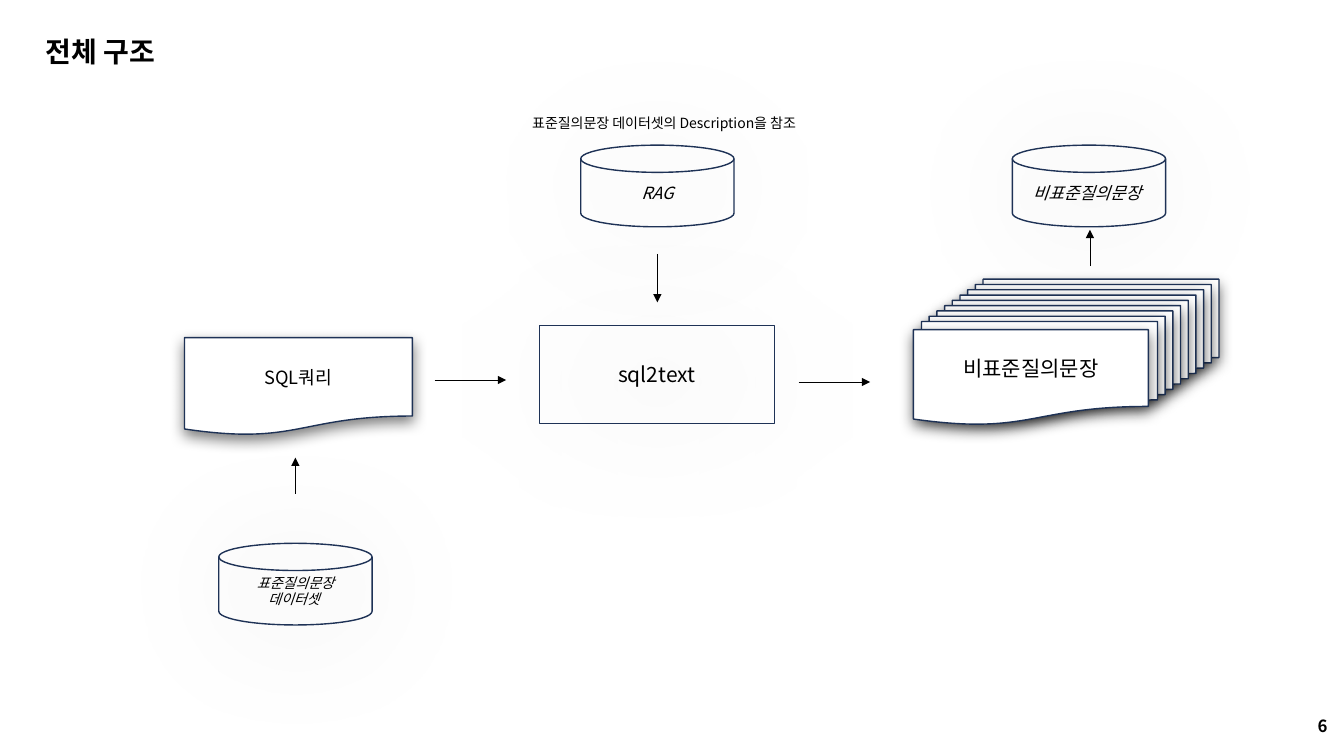
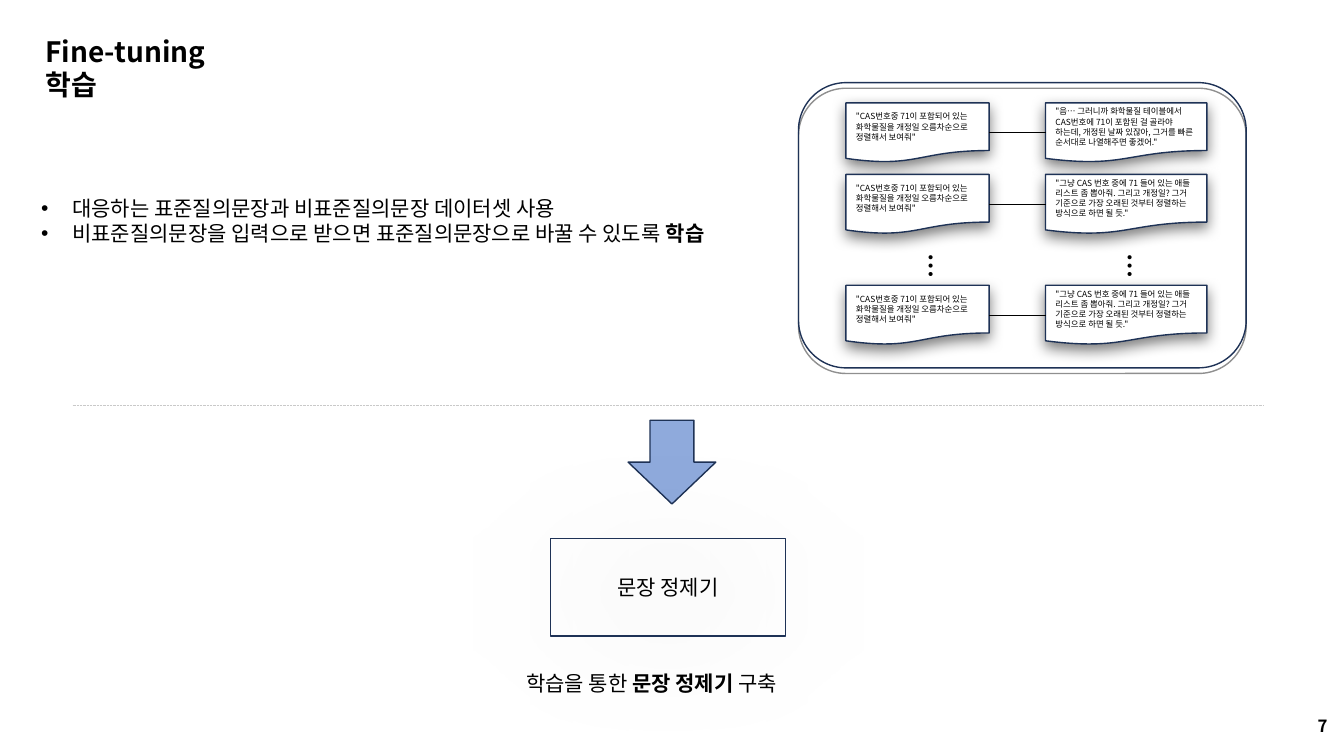
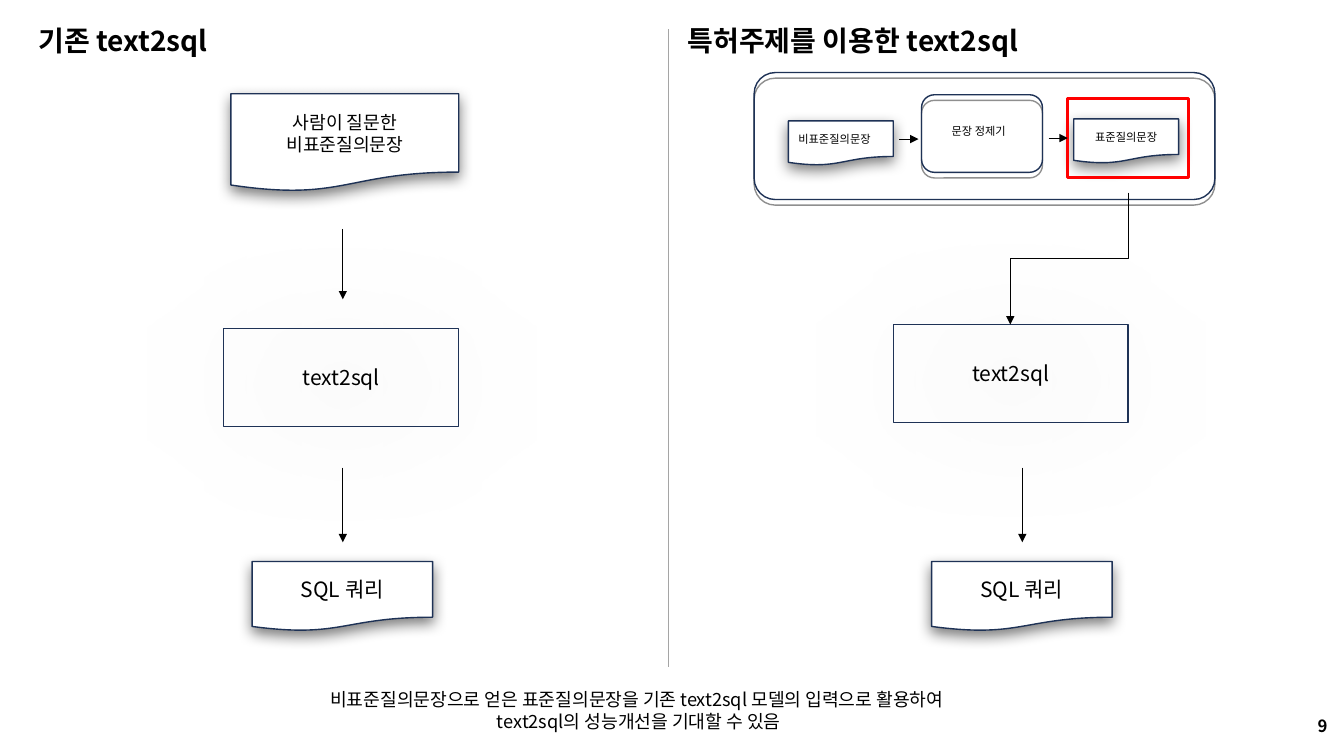
from dataclasses import dataclass
from typing import NamedTuple, Optional

from lxml.etree import SubElement
from pptx import Presentation
from pptx.dml.color import RGBColor
from pptx.enum.dml import MSO_LINE
from pptx.enum.shapes import MSO_CONNECTOR, MSO_SHAPE
from pptx.enum.text import MSO_ANCHOR, MSO_AUTO_SIZE, PP_ALIGN
from pptx.oxml.ns import qn
from pptx.util import Inches, Pt


@dataclass(frozen=True)
class Theme:
    font: str = "Noto Sans CJK KR"
    ink: str = "000000"
    paper: str = "FFFFFF"
    outline: str = "1E3256"
    arrow: str = "8FAADC"
    rule: str = "A5A5A5"
    dotted: str = "C9C9C9"
    mark: str = "FF0000"
    title: float = 20
    dots: float = 18
    body: float = 15
    note: float = 13
    label: float = 12
    small: float = 10
    tiny: float = 8
    quote: float = 6
    hairline: float = 0.5
    border: float = 1
    mark_border: float = 2.25


class Box(NamedTuple):
    x: float
    y: float
    w: float
    h: float

    def lengths(self):
        return [Inches(v) for v in self]


class Shadow(NamedTuple):
    alpha: int
    blur: float


class Kind(NamedTuple):
    preset: MSO_SHAPE
    fill: Optional[str]
    shadow: Optional[Shadow]


class Arrow(NamedTuple):
    x1: float
    y1: float
    x2: float
    y2: float


T = Theme()
HALO = Shadow(43, 100)
DISK = Kind(MSO_SHAPE.FLOWCHART_MAGNETIC_DISK, None, HALO)
MODEL = Kind(MSO_SHAPE.RECTANGLE, None, HALO)
DOCUMENT = Kind(MSO_SHAPE.FLOWCHART_DOCUMENT, T.paper, Shadow(50, 10))
PANEL = Kind(MSO_SHAPE.ROUNDED_RECTANGLE, None, Shadow(43, 0))
DOWN = Kind(MSO_SHAPE.DOWN_ARROW, T.arrow, None)
FRAME = Kind(MSO_SHAPE.RECTANGLE, None, None)


def write(tf, text: str, size: float, bold=False, italic=False, align=PP_ALIGN.LEFT) -> None:
    """Lines become paragraphs; text between bars is bold."""
    for i, line in enumerate(text.split("\n")):
        p = tf.paragraphs[0] if i == 0 else tf.add_paragraph()
        p.alignment = align
        for j, part in enumerate(line.split("|")):
            if not part:
                continue
            r = p.add_run()
            r.text = part
            f = r.font
            f.name, f.size = T.font, Pt(size)
            f.bold, f.italic = bold or j % 2 == 1, italic
            f.color.rgb = RGBColor.from_string(T.ink)
            SubElement(r._r.get_or_add_rPr(), qn("a:ea"), typeface=T.font)


def add_node(s, kind: Kind, box: Box, text="", size=T.body, italic=False,
             align=PP_ALIGN.CENTER, line=T.outline, width=T.border):
    sp = s.shapes.add_shape(kind.preset, *box.lengths())
    if kind.fill:
        sp.fill.solid()
        sp.fill.fore_color.rgb = RGBColor.from_string(kind.fill)
    else:
        sp.fill.background()
    sp.line.color.rgb = RGBColor.from_string(line)
    sp.line.width = Pt(width)
    sp.shadow.inherit = False
    if kind.shadow:
        effects = sp._element.spPr.find(qn("a:effectLst"))
        outer = SubElement(effects, qn("a:outerShdw"), blurRad=str(Pt(kind.shadow.blur)),
                           dist=str(Pt(4)), dir="5400000", algn="t", rotWithShape="0")
        color = SubElement(outer, qn("a:srgbClr"), val=T.ink)
        SubElement(color, qn("a:alpha"), val=str(kind.shadow.alpha * 1000))
    if text:
        sp.text_frame.vertical_anchor = MSO_ANCHOR.MIDDLE
        write(sp.text_frame, text, size, italic=italic, align=align)
    return sp


def add_text(s, box: Box, text: str, size: float, bold=False, wrap=False, align=PP_ALIGN.LEFT):
    sp = s.shapes.add_textbox(*box.lengths())
    tf = sp.text_frame
    tf.word_wrap = wrap
    tf.auto_size = MSO_AUTO_SIZE.SHAPE_TO_FIT_TEXT
    write(tf, text, size, bold, align=align)
    return sp


def add_line(s, path: Arrow, color=T.ink, head=False, dash=None, kind=MSO_CONNECTOR.STRAIGHT):
    c = s.shapes.add_connector(kind, *[Inches(v) for v in path])
    c.line.color.rgb = RGBColor.from_string(color)
    c.line.width = Pt(T.hairline)
    if dash:
        c.line.dash_style = dash
    if head:
        SubElement(c.line._get_or_add_ln(), qn("a:tailEnd"), type="triangle")
    SubElement(c._element.spPr, qn("a:effectLst"))
    return c


def add_slide(prs, title: str, box: Box, number: int):
    s = prs.slides.add_slide(prs.slide_layouts[5])
    sp = s.shapes.title
    sp.left, sp.top, sp.width, sp.height = box.lengths()
    tf = sp.text_frame
    tf.word_wrap = True
    tf.auto_size = MSO_AUTO_SIZE.NONE
    tf.vertical_anchor = MSO_ANCHOR.TOP
    write(tf, title, T.title, bold=True)
    add_text(s, Box(12.97, 7.05, 0.3, 0.3), str(number), T.label, bold=True)
    return s


def build_structure(prs) -> None:
    s = add_slide(prs, "전체 구조", Box(0.35, 0.29, 1.42, 0.44), 6)
    for x, y, text, size in (
        (2.17, 5.39, "표준질의문장\n데이터셋 ", T.small),
        (10.04, 1.44, "비표준질의문장 ", T.label),
        (5.76, 1.44, "RAG", T.label),
    ):
        add_node(s, DISK, Box(x, y, 1.52, 0.81), text, size, italic=True)
    add_node(s, MODEL, Box(5.35, 3.23, 2.33, 0.97), "sql2text")
    sheets = 9
    for i in range(sheets):
        t = i / (sheets - 1)
        add_node(s, DOCUMENT, Box(9.75 - 0.61 * t, 2.77 + 0.42 * t, 2.34, 0.97))
    add_node(s, DOCUMENT, Box(9.06, 3.27, 2.33, 0.95), "비표준질의문장")
    add_node(s, DOCUMENT, Box(1.83, 3.35, 2.26, 0.97), "SQL쿼리", T.note)
    for path in (
        Arrow(2.93, 4.9, 2.93, 4.54),
        Arrow(4.31, 3.77, 5.02, 3.77),
        Arrow(7.92, 3.79, 8.63, 3.79),
        Arrow(10.81, 2.64, 10.81, 2.28),
        Arrow(6.52, 2.52, 6.52, 3),
    ):
        add_line(s, path, head=True)
    add_text(s, Box(5.18, 1.09, 3.05, 0.27), "표준질의문장 데이터셋의 Description을 참조", T.small, wrap=True)


def build_training(prs) -> None:
    s = add_slide(prs, "Fine-tuning 학습", Box(0.35, 0.29, 2.2, 0.44), 7)
    standard = '"CAS번호중 71이 포함되어 있는 화학물질을 개정일 오름차순으로 정렬해서 보여줘"'
    hesitant = ('"음… 그러니까 화학물질 테이블에서 CAS번호에 71이 포함된 걸 골라야 하는데, '
                '개정된 날짜 있잖아, 그거를 빠른 순서대로 나열해주면 좋겠어."')
    casual = ('"그냥 CAS 번호 중에 71 들어 있는 애들 리스트 좀 뽑아줘. 그리고 개정일? '
              '그거 기준으로 가장 오래된 것부터 정렬하는 방식으로 하면 될 듯."')
    for y, spoken in ((1.02, hesitant), (1.73, casual), (2.83, casual)):
        left, right = (
            add_node(s, DOCUMENT, Box(x, y, w, 0.59), text, T.quote, align=PP_ALIGN.LEFT)
            for x, w, text in ((8.39, 1.42, standard), (10.37, 1.6, spoken))
        )
        c = add_line(s, Arrow(9.81, y + 0.3, 10.37, y + 0.3))
        c.begin_connect(left, 3)
        c.end_connect(right, 1)
    for x in (8.94, 10.91):
        sp = add_text(s, Box(x, 2.42, 0.5, 0.32), "…", T.dots, bold=True)
        sp.text_frame._txBody.bodyPr.set("vert", "eaVert")
    add_node(s, PANEL, Box(7.92, 0.82, 4.44, 2.83))

    points = add_text(
        s, Box(0.31, 1.89, 7.55, 0.86),
        "대응하는 표준질의문장과 비표준질의문장 데이터셋 사용\n"
        "비표준질의문장을 입력으로 받으면 표준질의문장으로 바꿀 수 있도록 |학습|",
        T.body, wrap=True)
    for p in points.text_frame.paragraphs:
        pPr = p._p.get_or_add_pPr()
        pPr.set("marL", str(Inches(0.31)))
        pPr.set("indent", str(-Inches(0.31)))
        SubElement(pPr, qn("a:buFont"), typeface="Arial")
        SubElement(pPr, qn("a:buChar"), char="•")

    add_line(s, Arrow(0.72, 4.02, 12.53, 4.02), T.dotted, dash=MSO_LINE.ROUND_DOT)
    add_node(s, DOWN, Box(6.23, 4.17, 0.87, 0.83))
    add_node(s, MODEL, Box(5.46, 5.34, 2.33, 0.97), "문장 정제기")
    add_text(s, Box(5.12, 6.6, 3.09, 0.35), "학습을 통한 |문장 정제기 |구축", T.body)


def build_comparison(prs) -> None:
    s = add_slide(prs, "기존 text2sql", Box(0.28, 0.18, 2.42, 0.44), 9)
    add_text(s, Box(6.72, 0.18, 3.71, 0.44), "특허주제를 이용한 text2sql", T.title, bold=True)
    add_line(s, Arrow(6.63, 0.29, 6.63, 6.62), T.rule)

    for x, model_x, model_y in ((3.4, 2.22, 3.26), (10.14, 8.86, 3.22)):
        add_node(s, MODEL, Box(model_x, model_y, 2.33, 0.97), "text2sql")
        add_line(s, Arrow(x, 4.64, x, 5.38), head=True)
        add_node(s, DOCUMENT, Box(x - 0.9, 5.57, 1.79, 0.69), "SQL 쿼리")

    add_node(s, DOCUMENT, Box(2.29, 0.93, 2.26, 0.97), "사람이 질문한\n비표준질의문장", T.note)
    add_line(s, Arrow(3.4, 2.27, 3.4, 2.97), head=True)

    add_node(s, PANEL, Box(7.48, 0.72, 4.57, 1.26))
    add_node(s, DOCUMENT, Box(7.82, 1.2, 1.04, 0.44), "비표준질의문장", T.tiny, align=PP_ALIGN.LEFT)
    add_node(s, PANEL, Box(9.14, 0.94, 1.2, 0.77))
    add_text(s, Box(9.34, 1.18, 0.8, 0.24), "문장 정제기", T.tiny)
    add_node(s, DOCUMENT, Box(10.65, 1.18, 1.04, 0.44), "표준질의문장", T.tiny)
    mark = add_node(s, FRAME, Box(10.59, 0.98, 1.2, 0.78), line=T.mark, width=T.mark_border)
    add_line(s, Arrow(8.92, 1.38, 9.11, 1.38), head=True)
    add_line(s, Arrow(10.4, 1.37, 10.59, 1.37), head=True).end_connect(mark, 1)

    bent = add_line(s, Arrow(9.95, 1.98, 11.26, 3.15), head=True, kind=MSO_CONNECTOR.ELBOW)
    bent._element.spPr.find(qn("a:xfrm")).set("rot", "5400000")

    add_text(s, Box(2.83, 6.78, 7.01, 0.54),
             "비표준질의문장으로 얻은 표준질의문장을 기존 text2sql 모델의 입력으로 활용하여 \n"
             "text2sql의 성능개선을 기대할 수 있음", T.note, align=PP_ALIGN.CENTER)


def main() -> None:
    prs = Presentation()
    prs.slide_width, prs.slide_height = Inches(13.33), Inches(7.5)
    build_structure(prs)
    build_training(prs)
    build_comparison(prs)
    prs.save("out.pptx")


if __name__ == "__main__":
    main()
